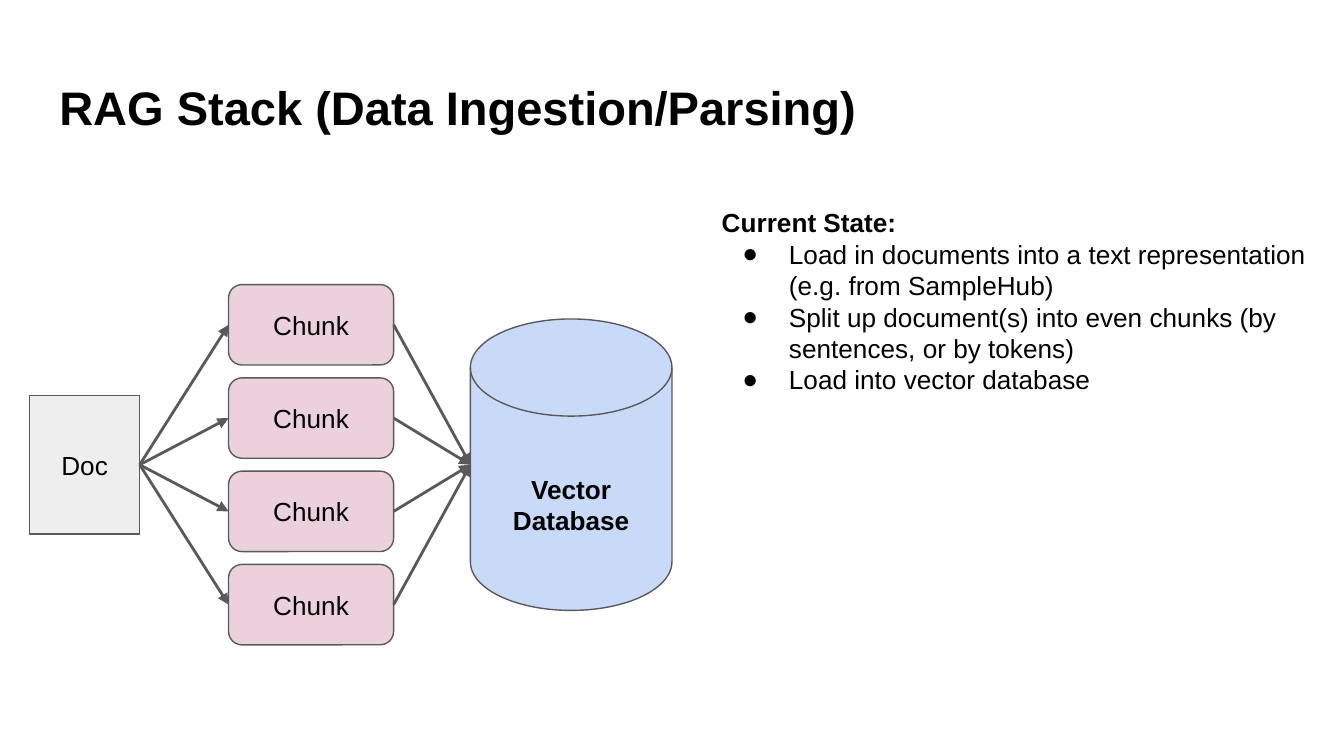
from lxml import etree
from pptx import Presentation
from pptx import util as u
from pptx.dml.color import RGBColor
from pptx.enum import shapes, text
from pptx.oxml.ns import qn

INK = {"text": "000000", "line": "595959", "doc": "EEEEEE",
       "chunk": "EAD1DC", "store": "C9DAF8"}
FRAME = {"word_wrap": True, "auto_size": text.MSO_AUTO_SIZE.NONE}
FRAME.update({f"margin_{side}": u.Cm(0.25)
              for side in ("left", "top", "right", "bottom")})
KIND = shapes.MSO_SHAPE
LEFT, RIGHT = 1, 3


def hue(key):
    return RGBColor.from_string(INK[key])


def apply(obj, vals):
    for key, val in vals.items():
        setattr(obj, key, val)


def place(shape, box):
    sides = ("left", "top", "width", "height")
    apply(shape, {side: u.Cm(val) for side, val in zip(sides, box)})


def write(shape, lines, size, bold=False, align=text.PP_ALIGN.LEFT,
          anchor=text.MSO_ANCHOR.TOP):
    """Fill a shape with evenly formatted paragraphs."""
    frame = shape.text_frame
    frame.text = "\n".join(lines)
    apply(frame, {**FRAME, "vertical_anchor": anchor})
    for par in frame.paragraphs:
        apply(par, {"alignment": align, "space_before": u.Pt(0),
                    "line_spacing": 1.0})
        for run in par.runs:
            apply(run.font, {"name": "Arial", "size": u.Pt(size), "bold": bold})
            run.font.color.rgb = hue("text")
    return frame


def node(slide, kind, box, fill, label, bold=False):
    shape = slide.shapes.add_shape(kind, *(u.Cm(val) for val in box))
    shape.shadow.inherit = False
    shape.fill.solid()
    shape.fill.fore_color.rgb = hue(fill)
    shape.line.color.rgb = hue("line")
    shape.line.width = u.Pt(0.75)
    write(shape, [label], 14, bold, text.PP_ALIGN.CENTER, text.MSO_ANCHOR.MIDDLE)
    return shape


def arrow(slide, start, end):
    link = slide.shapes.add_connector(
        shapes.MSO_CONNECTOR.STRAIGHT, *(u.Cm(val) for val in (*start, *end)))
    link.line.color.rgb = hue("line")
    link.line.width = u.Pt(1.5)
    etree.SubElement(link.line._get_or_add_ln(), qn("a:tailEnd"), type="triangle")
    etree.SubElement(link._element.spPr, qn("a:effectLst"))
    return link


def head(slide, box):
    title = slide.shapes.title
    place(title, box)
    write(title, ["RAG Stack (Data Ingestion/Parsing)"], 25.2, True)


def notes(slide, box):
    body = slide.placeholders[1]
    place(body, box)
    frame = write(body, [
        "Current State:",
        "Load in documents into a text representation (e.g. from SampleHub)",
        "Split up document(s) into even chunks (by sentences, or by tokens)",
        "Load into vector database"], 14)
    first, *items = frame.paragraphs
    first.runs[0].font.bold = True
    # The heading has no bullet, the items have a hanging one
    props = first._p.get_or_add_pPr()
    apply_indent(props, 0, 0)
    etree.SubElement(props, qn("a:buNone"))
    for par in items:
        props = par._p.get_or_add_pPr()
        apply_indent(props, 1.27, -0.88)
        etree.SubElement(props, qn("a:buChar"), char="●")


def apply_indent(props, margin, indent):
    props.set("marL", str(u.Cm(margin)))
    props.set("indent", str(u.Cm(indent)))


def flow(slide, box, count=4):
    """Document at left, chunks between, database at right."""
    left, top, width, height = box
    mid = top + height / 2

    # Database: label sits below the lid
    wide, tall = 3.81, 5.51
    port = left + width - wide
    store = node(slide, KIND.FLOWCHART_MAGNETIC_DISK,
                 (port, mid - tall / 2, wide, tall), "store",
                 "Vector Database", True)
    store.text_frame.margin_top = u.Cm(0.85)

    # Document
    wide, tall = 2.08, 2.62
    doc = node(slide, KIND.RECTANGLE, (left, mid - tall / 2, wide, tall),
               "doc", "Doc")
    exit_x = left + wide

    # Chunks, evenly spread over the height
    wide, tall = 3.12, 1.52
    x = left + 3.76
    step = (height - tall) / (count - 1)
    chunks = [node(slide, KIND.ROUNDED_RECTANGLE,
                   (x, top + i * step, wide, tall), "chunk", "Chunk")
              for i in range(count)]

    # Arrows into and out of each chunk
    for i, chunk in enumerate(chunks):
        y = top + i * step + tall / 2
        link = arrow(slide, (exit_x, mid), (x, y))
        link.begin_connect(doc, RIGHT)
        link.end_connect(chunk, LEFT)
        link = arrow(slide, (x + wide, y), (port, mid))
        link.begin_connect(chunk, RIGHT)


def main():
    deck = Presentation()
    apply(deck, {"slide_width": u.Cm(25.4), "slide_height": u.Cm(14.29)})
    slide = deck.slides.add_slide(deck.slide_layouts[1])
    head(slide, (0.87, 1.24, 23.67, 1.6))
    flow(slide, (0.56, 5.38, 12.14, 6.81))
    notes(slide, (13.39, 3.66, 11.58, 4.11))
    deck.save("out.pptx")


if __name__ == "__main__":
    main()
